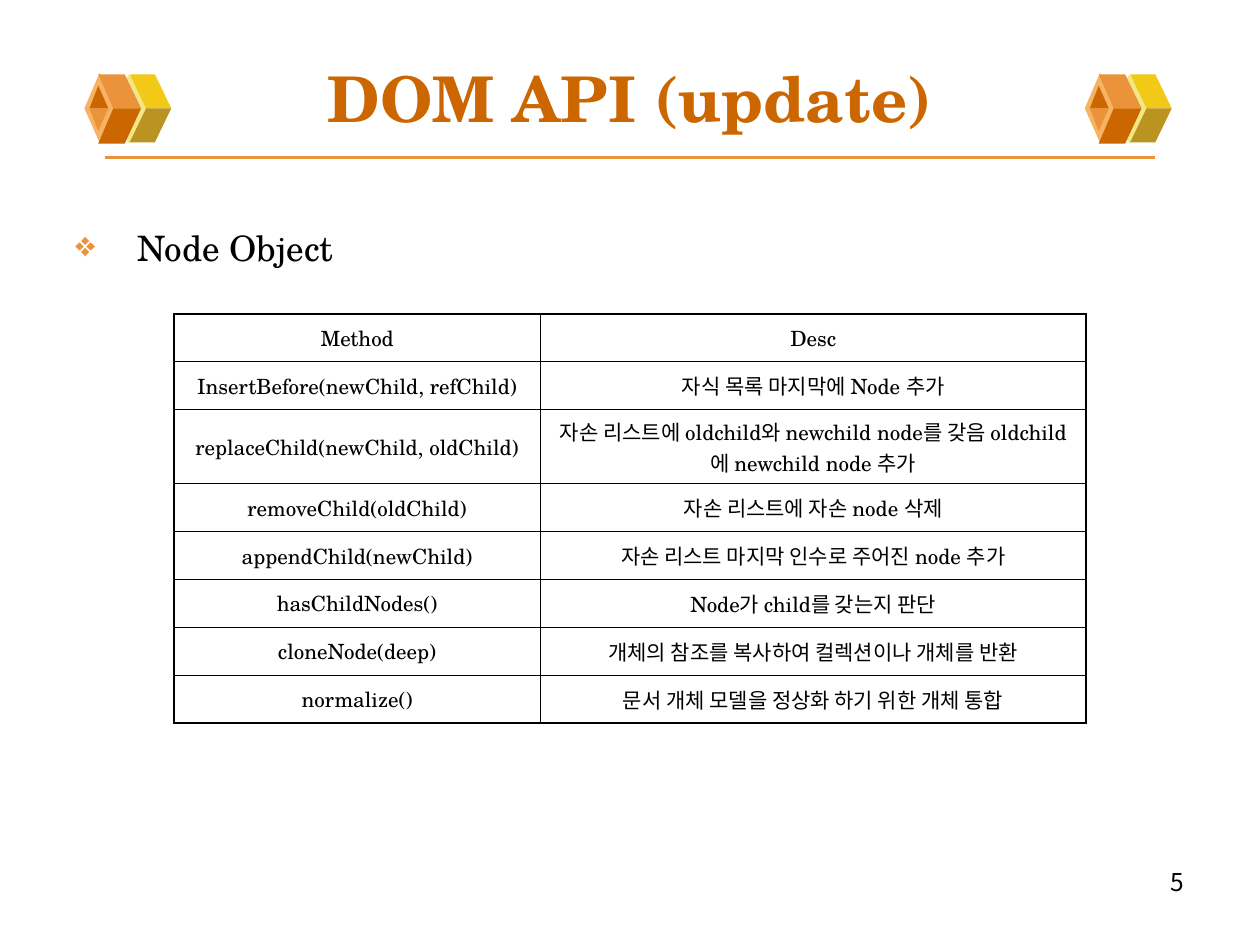
from lxml import etree
from pptx import Presentation, util as u
from pptx.dml.color import RGBColor
from pptx.enum import shapes, text
from pptx.oxml import ns

LATIN, KOREAN = "TeX Gyre Schola", "Noto Sans CJK KR"
BLACK, ORANGE, RUST = "000000", "EB933B", "CC6600"

# Content
TITLE = "DOM API (update)"
TOPIC = "Node Object"
PAGE = "5"
METHODS = [
    ("Method", "Desc"),
    ("InsertBefore(newChild, refChild)", "자식 목록 마지막에 Node 추가"),
    ("replaceChild(newChild, oldChild)",
     "자손 리스트에 oldchild와 newchild node를 갖음 oldchild에 newchild node 추가"),
    ("removeChild(oldChild)", "자손 리스트에 자손 node 삭제"),
    ("appendChild(newChild)", "자손 리스트 마지막 인수로 주어진 node 추가"),
    ("hasChildNodes()", "Node가 child를 갖는지 판단"),
    ("cloneNode(deep)", "개체의 참조를 복사하여 컬렉션이나 개체를 반환"),
    ("normalize()", "문서 개체 모델을 정상화 하기 위한 개체 통합"),
]
COLUMN_WIDTHS = [2.91, 4.33]
ROW_HEIGHTS = [0.38, 0.38, 0.59] + [0.38] * 5
OUTER, INNER = 1.08, 0.45

# Ornament facets, back to front, measured from the ornament's left end
ORNAMENT_LEFTS = [0.67, 8.61]
MIDDLE = 0.86
FACETS = [
    ("F1E785", [(0.19, MIDDLE), (0.355, 0.59), (0.52, MIDDLE), (0.355, 1.14)]),
    ("F3C917", [(0.49, MIDDLE), (0.69, MIDDLE), (0.56, 0.59), (0.36, 0.59)]),
    ("BB9321", [(0.49, MIDDLE), (0.69, MIDDLE), (0.56, 1.13), (0.36, 1.13)]),
    ("F5B363", [(0, MIDDLE), (0.12, 0.58), (0.24, MIDDLE), (0.12, 1.13)]),
    (ORANGE, [(0.23, MIDDLE), (0.45, MIDDLE), (0.32, 0.59), (0.11, 0.59)]),
    (RUST, [(0.23, MIDDLE), (0.45, MIDDLE), (0.32, 1.14), (0.11, 1.14)]),
    (RUST, [(0.11, 0.68), (0.04, MIDDLE), (0.19, MIDDLE)]),
    (ORANGE, [(0.11, 1.04), (0.04, MIDDLE), (0.19, MIDDLE)]),
]


def color(hex_value):
    return RGBColor.from_string(hex_value)


def child(parent, tag, **attributes):
    return etree.SubElement(parent, ns.qn(tag), attributes)


def write(frame, words, size=12, font=LATIN, ink=BLACK, bold=False,
          align=text.PP_ALIGN.CENTER, anchor=text.MSO_ANCHOR.TOP, before=0):
    frame.word_wrap = True
    frame.vertical_anchor = anchor
    paragraph = frame.paragraphs[0]
    paragraph.alignment = align
    paragraph.space_before = u.Pt(before)
    run = paragraph.add_run()
    run.text = words
    run.font.size, run.font.bold, run.font.name = u.Pt(size), bold, font
    run.font.color.rgb = color(ink)
    child(run.font._element, "a:ea", typeface=KOREAN)
    return paragraph


def add_text(left, top, width, height, words, **style):
    box = slide.shapes.add_textbox(*map(u.Inches, (left, top, width, height)))
    return write(box.text_frame, words, **style)


def add_bullet(paragraph, mark, ink, indent):
    properties = paragraph._p.get_or_add_pPr()
    properties.set("marL", str(u.Inches(indent)))
    properties.set("indent", str(-u.Inches(indent)))
    child(child(properties, "a:buClr"), "a:srgbClr", val=ink)
    child(properties, "a:buChar", char=mark)


def add_facet(left, fill, corners):
    points = [(u.Inches(left + x), u.Inches(y)) for x, y in corners]
    builder = slide.shapes.build_freeform(*points[0])
    builder.add_line_segments(points[1:], close=True)
    facet = builder.convert_to_shape()
    facet.shadow.inherit = False
    facet.fill.solid()
    facet.fill.fore_color.rgb = color(fill)
    facet.line.fill.background()


def set_borders(cell, **widths):
    properties = cell._tc.get_or_add_tcPr()
    for side, width in widths.items():
        border = child(properties, f"a:ln{side}", w=str(u.Pt(width)))
        child(child(border, "a:solidFill"), "a:srgbClr", val=BLACK)


prs = Presentation()
prs.slide_width, prs.slide_height = u.Inches(10), u.Inches(7.5)
slide = prs.slides.add_slide(prs.slide_layouts[6])

# Title rule and the ornaments at its ends
rule = slide.shapes.add_connector(
    shapes.MSO_CONNECTOR.STRAIGHT, *map(u.Inches, (0.83, 1.25, 9.17, 1.25)))
rule.line.color.rgb = color(ORANGE)
rule.line.width = u.Pt(2.25)
child(rule._element.spPr, "a:effectLst")
for ornament_left in ORNAMENT_LEFTS:
    for fill, corners in FACETS:
        add_facet(ornament_left, fill, corners)

# Page number, title and topic
add_text(7.17, 6.83, 2.33, 0.3, PAGE, size=14, font=KOREAN,
         align=text.PP_ALIGN.RIGHT)
add_text(0.5, 0.3, 9, 0.95, TITLE, size=36, ink=RUST, bold=True,
         anchor=text.MSO_ANCHOR.MIDDLE)
topic = add_text(0.5, 1.75, 8.99, 4.95, TOPIC, size=20,
                 align=text.PP_ALIGN.LEFT, before=5)
add_bullet(topic, "❖", ORANGE, 0.49)

# Method table
table = slide.shapes.add_table(
    len(METHODS), len(COLUMN_WIDTHS), u.Inches(1.38), u.Inches(2.49),
    u.Inches(sum(COLUMN_WIDTHS)), u.Inches(sum(ROW_HEIGHTS))).table
table.first_row = table.horz_banding = False
for column, width in zip(table.columns, COLUMN_WIDTHS):
    column.width = u.Inches(width)
last_row, last_column = len(METHODS) - 1, len(COLUMN_WIDTHS) - 1
for r, (height, entries) in enumerate(zip(ROW_HEIGHTS, METHODS)):
    table.rows[r].height = u.Inches(height)
    for c, entry in enumerate(entries):
        cell = table.cell(r, c)
        write(cell.text_frame, entry, before=3)
        cell.vertical_anchor = text.MSO_ANCHOR.MIDDLE
        set_borders(cell,
                    L=OUTER if c == 0 else INNER,
                    R=OUTER if c == last_column else INNER,
                    T=OUTER if r == 0 else INNER,
                    B=OUTER if r == last_row else INNER)
        cell.fill.background()

prs.save("out.pptx")
